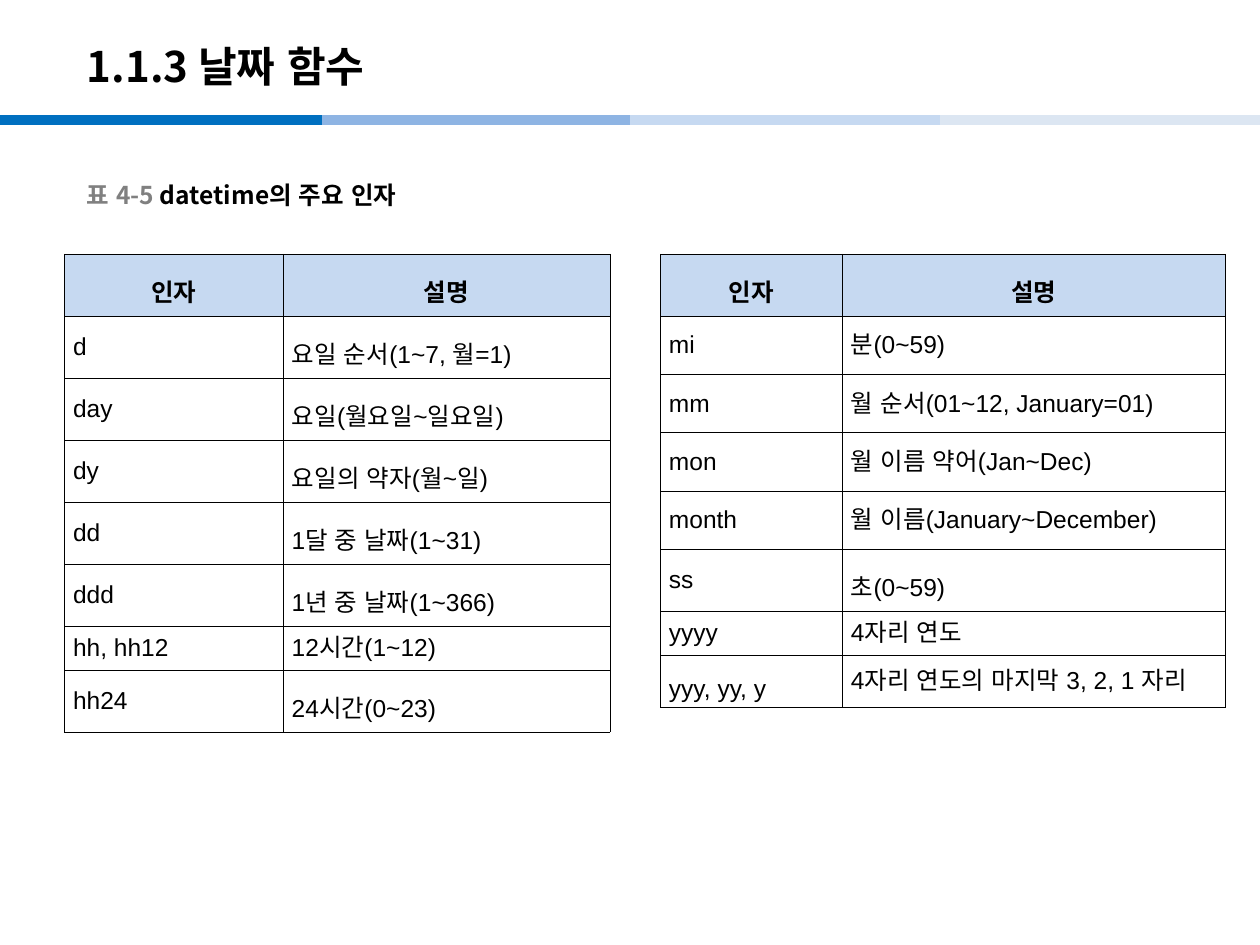
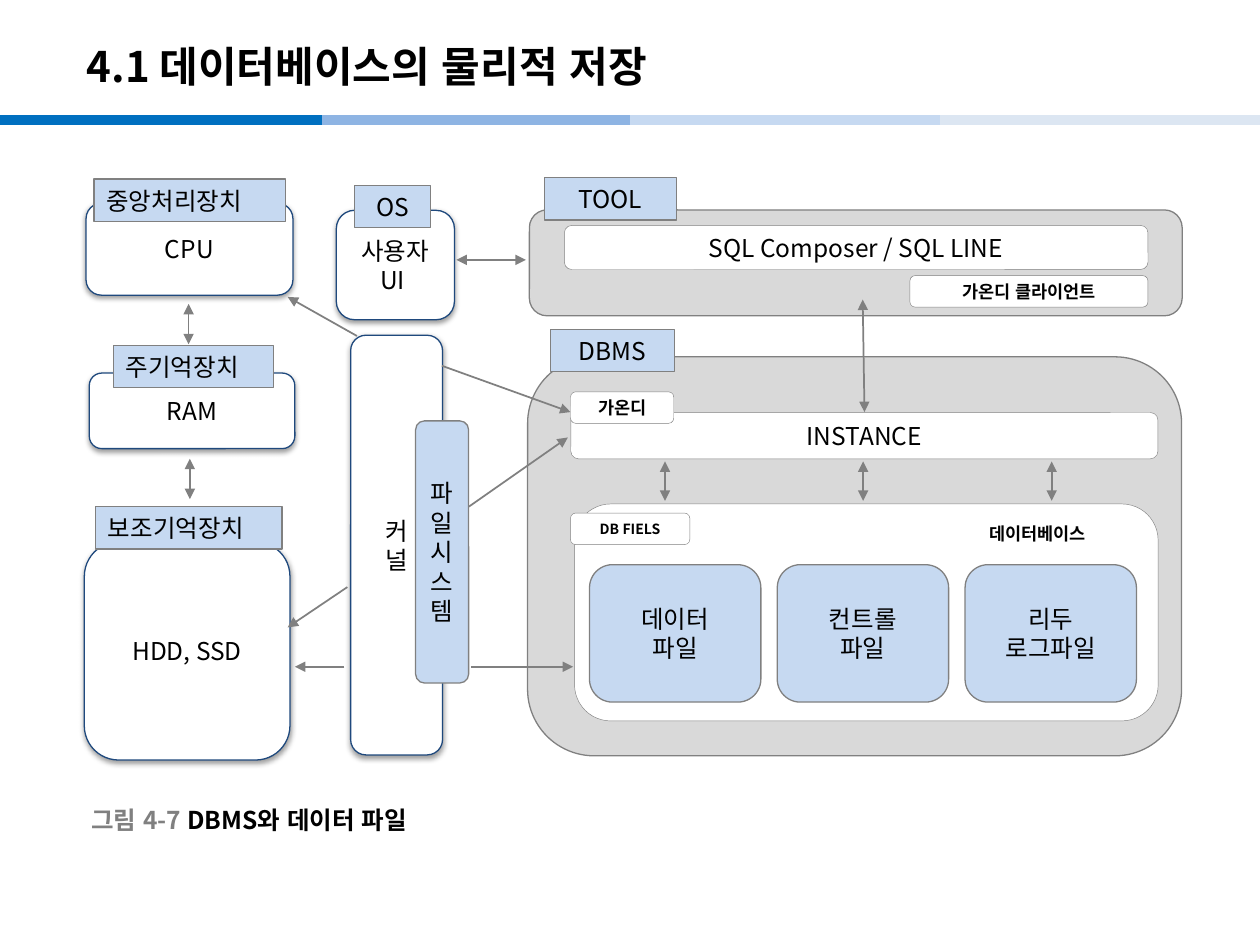
from lxml import etree
from pptx import Presentation, util as u
from pptx.dml import color as dml
from pptx.enum import shapes as sh, text as tx
from pptx.oxml import ns

BLACK, WHITE, GRAY, NAVY = "000000", "FFFFFF", "808080", "1F497D"
PALE, PANEL = "C6D9F1", "D9D9D9"
BANDS = [(0, "0070C0"), (184.2, "8EB4E3"), (360, PALE), (537, "DCE6F2")]
SANS, LATIN = "Noto Sans CJK KR", "Arial"
TAG_H, LABEL_H = 24.2, 18
LEFT, CENTER = tx.PP_ALIGN.LEFT, tx.PP_ALIGN.CENTER


def rgb(value):
    """Turn a hex string into a colour."""
    return dml.RGBColor.from_string(value)


def pts(*values):
    """Turn numbers into point lengths."""
    return [u.Pt(v) for v in values]


def sub(parent, tag, **attrs):
    """Append a DrawingML element and return it."""
    el = etree.SubElement(parent, ns.qn("a:" + tag))
    for key, value in attrs.items():
        el.set(key, str(value))
    return el


def write(p, text, size=14, color=BLACK, bold=False, font=SANS, align=LEFT, spacing=None):
    """Add a formatted run to a paragraph."""
    p.alignment = align
    if spacing:
        p.line_spacing = spacing
    r = p.add_run()
    r.text = text
    r.font.size, r.font.bold = u.Pt(size), bold
    r.font.color.rgb = rgb(color)
    r.font.name = font
    sub(r.font._element, "ea", typeface=LATIN)


def box(s, x, y, w, h, text="", fill=WHITE, line=GRAY, width=0.75, rounded=True,
        shadow=False, **fmt):
    """Draw a rectangle with optional lines of text."""
    kind = sh.MSO_SHAPE.ROUNDED_RECTANGLE if rounded else sh.MSO_SHAPE.RECTANGLE
    sp = s.shapes.add_shape(kind, *pts(x, y, w, h))
    sp.fill.solid()
    sp.fill.fore_color.rgb = rgb(fill)
    sp.line.color.rgb = rgb(line)
    sp.line.width = u.Pt(width)
    sp.shadow.inherit = False
    if shadow:
        effects = sp.element.spPr.find(ns.qn("a:effectLst"))
        outer = sub(effects, "outerShdw", blurRad=u.Pt(3.1), dist=u.Pt(1.6),
                    dir=5400000, rotWithShape=0)
        sub(sub(outer, "srgbClr", val=BLACK), "alpha", val=38000)
    if text:
        tf = sp.text_frame
        tf.word_wrap = True
        tf.vertical_anchor = tx.MSO_ANCHOR.MIDDLE
        tf.margin_top = tf.margin_bottom = 0
        for i, row in enumerate(text.split("\n")):
            p = tf.add_paragraph() if i else tf.paragraphs[0]
            write(p, row, **{"align": CENTER, **fmt})
    return sp


def unit(s, x, y, w, h, text):
    """Draw a white unit with navy outline and shadow."""
    box(s, x, y, w, h, text, line=NAVY, shadow=True)


def tag(s, x, y, w, text, align=CENTER):
    """Draw a pale name tag."""
    box(s, x, y, w, TAG_H, text, fill=PALE, rounded=False, align=align)


def label(s, x, y, w, text, size=10):
    """Draw a small bold label."""
    box(s, x, y, w, LABEL_H, text, width=0.25, size=size, bold=True)


def line(s, x1, y1, x2, y2, color=GRAY, width=1, ends=()):
    """Draw a straight line with triangles at the named ends."""
    cn = s.shapes.add_connector(sh.MSO_CONNECTOR.STRAIGHT, *pts(x1, y1, x2, y2))
    cn.line.color.rgb = rgb(color)
    cn.line.width = u.Pt(width)
    ln = cn.element.spPr.find(ns.qn("a:ln"))
    for end in ends:
        sub(ln, end, type="triangle")
    sub(cn.element.spPr, "effectLst")


def arrow(s, x1, y1, x2, y2, both=False):
    """Draw an arrow to the second point, or to both points."""
    line(s, x1, y1, x2, y2, ends=("headEnd", "tailEnd") if both else ("tailEnd",))


def base_slide(prs, title):
    """Add a slide with the colour bands and title."""
    s = prs.slides.add_slide(prs.slide_layouts[5])
    for x, color in BANDS:
        line(s, x, 68.5, x + 184.2, 68.5, color, 6)
    sp = s.shapes.title
    sp.left, sp.top, sp.width, sp.height = pts(42.5, 16, 595.5, 43)
    tf = sp.text_frame
    tf.vertical_anchor = tx.MSO_ANCHOR.MIDDLE
    write(tf.paragraphs[0], title, size=24, bold=True)
    return s


def caption(s, x, y, number, text):
    """Add a caption with a gray number."""
    tf = s.shapes.add_textbox(*pts(x, y, 300, 22.5)).text_frame
    tf.word_wrap = True
    tf.vertical_anchor = tx.MSO_ANCHOR.MIDDLE
    p = tf.paragraphs[0]
    write(p, number + " ", color=GRAY, bold=True)
    write(p, text, bold=True)


def format_cell(cell, text, header, loose):
    """Fill one table cell and draw its borders."""
    pr = cell._tc.get_or_add_tcPr()
    for side in ("lnL", "lnR", "lnT", "lnB"):
        sub(sub(sub(pr, side, w=u.Pt(0.28)), "solidFill"), "srgbClr", val=BLACK)
    if header:
        cell.fill.solid()
        cell.fill.fore_color.rgb = rgb(PALE)
    else:
        cell.fill.background()
    cell.margin_left = cell.margin_right = u.Pt(5)
    cell.margin_top = cell.margin_bottom = u.Pt(1.5)
    cell.vertical_anchor = tx.MSO_ANCHOR.MIDDLE
    write(cell.text_frame.paragraphs[0], text, font=LATIN, bold=header,
          align=CENTER if header else LEFT, spacing=1.6 if header or loose else None)


def argument_table(s, x, y, widths, heights, rows, loose):
    """Add a table of arguments; loose holds the (row, column) of wide-spaced cells."""
    rows = [("인자", "설명")] + rows
    table = s.shapes.add_table(len(rows), 2, *pts(x, y, sum(widths), sum(heights))).table
    table.first_row = table.horz_banding = False
    for col, w in zip(table.columns, widths):
        col.width = u.Pt(w)
    for i, (row, h) in enumerate(zip(rows, heights)):
        table.rows[i].height = u.Pt(h)
        for j, text in enumerate(row):
            format_cell(table.cell(i, j), text, i == 0, (i, j) in loose)


def date_slide(prs):
    """Build the slide on date functions."""
    s = base_slide(prs, "1.1.3 날짜 함수")
    caption(s, 42.5, 100, "표 4-5", "datetime의 주요 인자")
    argument_table(s, 36.75, 145.25, (125, 187), [35.45] * 6 + [25, 35.45], [
        ("d", "요일 순서(1~7, 월=1)"),
        ("day", "요일(월요일~일요일)"),
        ("dy", "요일의 약자(월~일)"),
        ("dd", "1달 중 날짜(1~31)"),
        ("ddd", "1년 중 날짜(1~366)"),
        ("hh, hh12", "12시간(1~12)"),
        ("hh24", "24시간(0~23)"),
    ], {(i, 1) for i in (1, 2, 3, 4, 5, 7)})
    argument_table(s, 377.25, 145.25, (104, 219), [35.45] + [33.3] * 4 + [35.45, 25, 28], [
        ("mi", "분(0~59)"),
        ("mm", "월 순서(01~12, January=01)"),
        ("mon", "월 이름 약어(Jan~Dec)"),
        ("month", "월 이름(January~December)"),
        ("ss", "초(0~59)"),
        ("yyyy", "4자리 연도"),
        ("yyy, yy, y", "4자리 연도의 마지막 3, 2, 1 자리"),
    ], {(5, 1), (7, 0)})


def hardware(s, x, y):
    """Draw the column of processor, memory and storage."""
    unit(s, x + 1, y + 14, 118.2, 52.5, "CPU")
    unit(s, x + 2.8, y + 111, 117.5, 43.2, "RAM")
    unit(s, x, y + 207.5, 117.5, 124.6, "HDD, SSD")
    tag(s, x + 5.5, y + 0.2, 109.5, "중앙처리장치", LEFT)
    tag(s, x + 16.5, y + 95.2, 91.5, "주기억장치", LEFT)
    tag(s, x + 6.4, y + 187.4, 106.6, "보조기억장치", LEFT)
    for left, top in ((59.6, 71.5), (60.3, 160)):
        arrow(s, x + left, y + top, x + left, y + top + 23, both=True)


def operating_system(s, x, y):
    """Draw the user interface, kernel and file system."""
    unit(s, x, y + 14.2, 67.5, 62.5, "사용자\nUI ")
    tag(s, x + 10.2, y, 43.8, "OS")
    unit(s, x + 8.2, y + 85.6, 52.5, 239.8, "커\n널")
    box(s, x + 45.3, y + 134.5, 30.3, 149.8, "파일시스템", fill=PALE)


def tools(s, x, y):
    """Draw the panel of client tools."""
    box(s, x, y + 18.5, 373, 60.5, fill=PANEL)
    tag(s, x + 8.5, y, 75.5, "TOOL")
    box(s, x + 20, y + 27.3, 333.5, 25.2, "SQL Composer / SQL LINE", width=0.25)
    label(s, x + 217.5, y + 56, 136, "가온디 클라이언트")


def dbms(s, x, y):
    """Draw the panel with the instance and its database files."""
    box(s, x, y + 15.7, 373.7, 228, fill=PANEL)
    tag(s, x + 13.2, y, 70.6, "DBMS")
    box(s, x + 24.7, y + 47.5, 335.5, 26.5, "INSTANCE", width=0.25)
    label(s, x + 24.5, y + 35.7, 59, "가온디")
    box(s, x + 26.8, y + 99.8, 333.5, 124, width=0.25)
    box(s, x + 257, y + 107, 83.5, 19.5, "데이터베이스", line=WHITE, width=2,
        rounded=False, size=10, bold=True, align=LEFT)
    label(s, x + 24.5, y + 105, 68.2, "DB FIELS", size=8)
    for i, name in enumerate(("데이터\n파일", "컨트롤\n파일", "리두\n로그파일")):
        box(s, x + 35.4 + 107.3 * i, y + 134.5, 97.9, 78.5, name, fill=PALE)
    for left in (78.5, 191.7, 299.5):
        arrow(s, x + left, y + 75.5, x + left, y + 98, both=True)


def links(s):
    """Draw the arrows between regions."""
    for ends in [
        (268, 289.5, 324.5, 250), (198.5, 335.5, 164.4, 358.5),
        (252.5, 209, 326, 235.5), (204, 192, 164.4, 169.7),
        (196.8, 381, 168.5, 381), (269.2, 381, 327.5, 381),
    ]:
        arrow(s, *ends)
    arrow(s, 493, 171.2, 494, 235.5, both=True)
    arrow(s, 260.8, 148.5, 300.5, 148.5, both=True)


def storage_slide(prs):
    """Build the slide on physical storage."""
    s = base_slide(prs, "4.1 데이터베이스의 물리적 저장")
    hardware(s, 48.2, 102.2)
    operating_system(s, 192.2, 106)
    tools(s, 302.5, 101.5)
    dbms(s, 301.5, 188.2)
    links(s)
    caption(s, 45, 457, "그림 4-7", "DBMS와 데이터 파일")


def main():
    """Build and save the presentation."""
    prs = Presentation()
    prs.slide_width, prs.slide_height = pts(720, 540)
    date_slide(prs)
    storage_slide(prs)
    prs.save("out.pptx")


if __name__ == "__main__":
    main()
